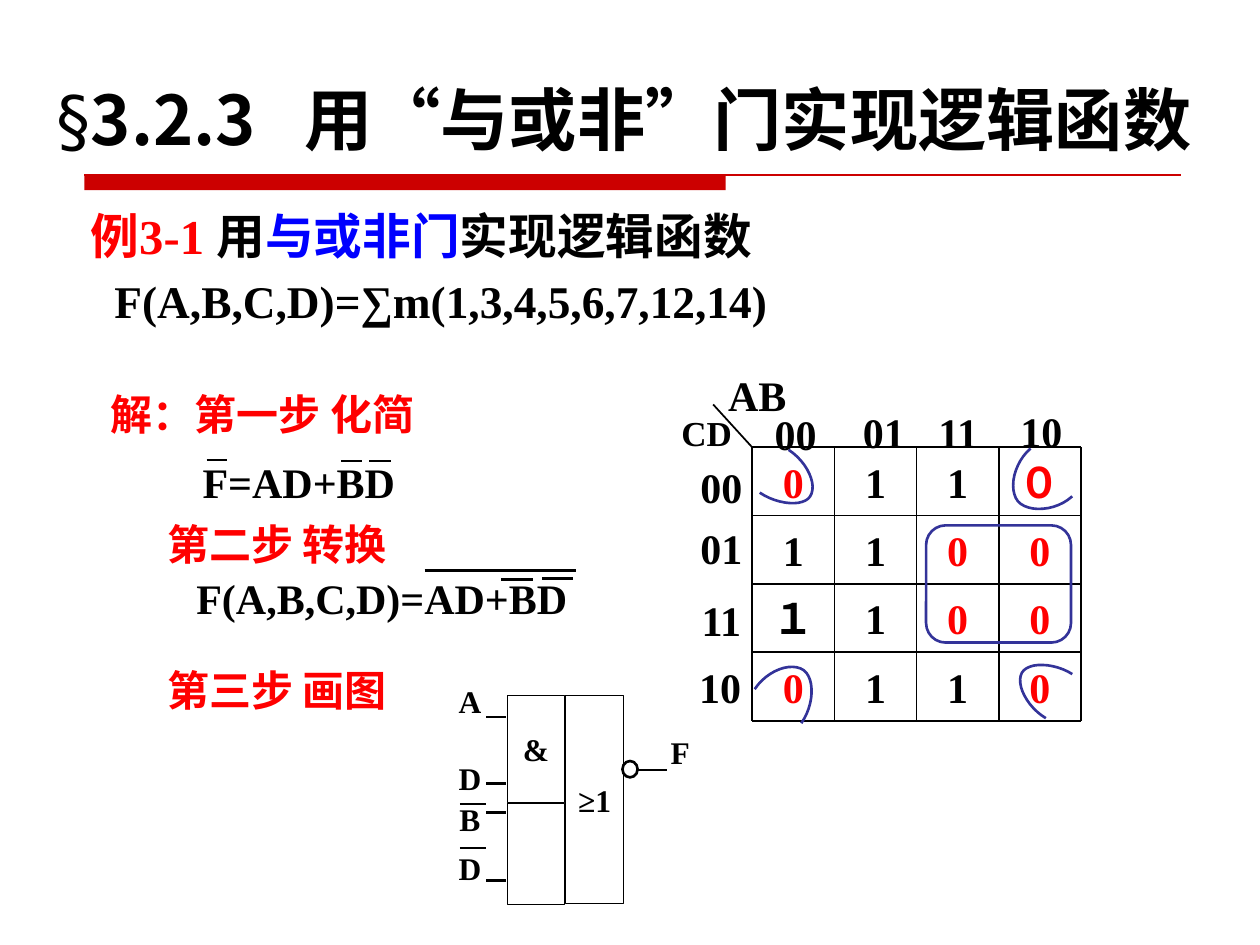
from lxml import etree
from pptx import Presentation
from pptx.dml.color import RGBColor
from pptx.enum.shapes import MSO_CONNECTOR, MSO_SHAPE
from pptx.enum.text import MSO_ANCHOR, PP_ALIGN
from pptx.oxml.ns import qn
from pptx.util import Inches, Pt

LEFT, CENTER = PP_ALIGN.LEFT, PP_ALIGN.CENTER
TOP, MIDDLE, BOTTOM = MSO_ANCHOR.TOP, MSO_ANCHOR.MIDDLE, MSO_ANCHOR.BOTTOM
RECT, OVAL, ROUND = MSO_SHAPE.RECTANGLE, MSO_SHAPE.OVAL, MSO_SHAPE.ROUNDED_RECTANGLE
SERIF, HAN, SYMBOL = "Times New Roman", "Noto Sans CJK SC", "DejaVu Sans"
BLACK, RED, BLUE, CRIMSON, INDIGO = "000000", "FF0000", "0000FF", "CC0000", "333399"

# Content: text, size, font, bold
HEADING = [("§", 39, SYMBOL, False), ("3.2.3", 39, HAN, True), ("　", 27.5, HAN, True),
           ("用“与或非”门实现逻辑函数", 39, HAN, True)]
EXAMPLE = [("例3-1 ", RED), ("用", BLACK), ("与或非门", BLUE), ("实现逻辑函数", BLACK)]
FUNCTION = "F(A,B,C,D)=∑m(1,3,4,5,6,7,12,14)"

# text, left, top, width, colour
STEPS = [("解：第一步 化简", 0.78, 3.11, 3.67, RED),
         ("F=AD+BD", 1.51, 3.65, 1.83, BLACK),
         ("第二步 转换", 1.23, 4.14, 3, RED),
         ("F(A,B,C,D)=AD+BD", 1.46, 4.57, 4.05, BLACK),
         ("第三步 画图", 1.23, 5.3, 3, RED)]
# left, right, height of each negation bar
NEGATIONS = [(1.64, 1.8, 3.65), (2.71, 2.87, 3.66), (2.93, 3.1, 3.66),
             (3.37, 4.57, 4.53), (3.98, 4.23, 4.6), (4.3, 4.55, 4.59),
             (3.65, 3.86, 6.38), (3.65, 3.86, 6.73)]

# Karnaugh map
KMAP = ["011０", "1100", "１100", "0110"]
KMAP_X, KMAP_Y, KMAP_W, KMAP_H = 5.97, 3.55, 2.61, 2.17
AB_CODES = [("00", 6.05, 3.19), ("01", 6.75, 3.18), ("11", 7.35, 3.18), ("10", 8, 3.17)]
CD_CODES = [("00", 5.46, 3.61), ("01", 5.46, 4.1), ("11", 5.47, 4.67), ("10", 5.45, 5.2)]
AXES = [("AB", 5.68, 2.88, 24), ("CD", 5.31, 3.22, 20)]
# Two Bezier curves per corner: start, control, control, joint, control, control, end
CORNER_LOOPS = [
    [(6.36, 5.74), (6.46, 5.6), (6.47, 5.39), (6.38, 5.32), (6.28, 5.25), (6.09, 5.32), (5.99, 5.47)],
    [(8.18, 3.56), (8.05, 3.67), (8, 3.88), (8.08, 3.98), (8.16, 4.07), (8.38, 4.06), (8.51, 3.94)],
    [(8.51, 5.35), (8.37, 5.26), (8.16, 5.25), (8.11, 5.34), (8.06, 5.43), (8.15, 5.61), (8.3, 5.7)],
    [(6.03, 3.91), (6.18, 4.01), (6.38, 4.02), (6.43, 3.94), (6.49, 3.85), (6.41, 3.67), (6.26, 3.57)]]

# AND-OR-NOT gate: text, left, top, width, height
GATE_PARTS = [("≥1", 4.49, 5.52, 0.46, 1.65), ("&", 4.03, 5.52, 0.45, 0.85),
              ("", 4.03, 6.38, 0.45, 0.8)]
GATE_PINS = [(3.86, 4.02, 5.69), (3.86, 4.02, 6.22), (3.86, 4.02, 6.45),
             (3.86, 4.02, 6.99), (5.06, 5.29, 6.11)]
# lines, left, top, height, line spacing, gap before the second line
PIN_NAMES = [(["A", "D"], 3.48, 5.49, 0.87, 0.5, 33.5),
             (["B", "D"], 3.48, 6.38, 0.71, 0.7, 13),
             (["F"], 5.15, 5.83, 0.34, 0.8, 0)]


def rgb(colour):
    return RGBColor.from_string(colour)


def add_run(paragraph, text, size, colour=BLACK, font=SERIF, bold=True):
    run = paragraph.add_run()
    run.text = text
    run.font.size, run.font.bold, run.font.name = Pt(size), bold, font
    run.font.color.rgb = rgb(colour)
    etree.SubElement(run._r.get_or_add_rPr(), qn("a:ea"), typeface=HAN)


def add_text(lines, x, y, w, h, size=24, colour=BLACK, align=LEFT, anchor=TOP, spacing=1.0, gap=0):
    frame = slide.shapes.add_textbox(*map(Inches, (x, y, w, h))).text_frame
    frame.word_wrap, frame.vertical_anchor = True, anchor
    for i, line in enumerate(lines):
        paragraph = frame.paragraphs[0] if i == 0 else frame.add_paragraph()
        paragraph.alignment, paragraph.line_spacing = align, spacing
        if i:
            paragraph.space_before = Pt(gap)
        add_run(paragraph, line, size, colour)


def add_line(x1, y1, x2, y2, colour=BLACK, width=1.5):
    line = slide.shapes.add_connector(MSO_CONNECTOR.STRAIGHT, *map(Inches, (x1, y1, x2, y2)))
    line.line.color.rgb, line.line.width = rgb(colour), Pt(width)
    etree.SubElement(line._element.spPr, qn("a:effectLst"))


def outline(shape, colour, width):
    shape.shadow.inherit = False
    shape.fill.background()
    shape.line.color.rgb, shape.line.width = rgb(colour), Pt(width)


def add_outline(kind, x, y, w, h, colour=BLACK, width=1.5):
    shape = slide.shapes.add_shape(kind, *map(Inches, (x, y, w, h)))
    outline(shape, colour, width)
    return shape


def bezier(p0, p1, p2, p3, steps=12):
    for i in range(steps + 1):
        t = i / steps
        yield tuple(Inches((1 - t) ** 3 * a + 3 * (1 - t) ** 2 * t * b
                           + 3 * (1 - t) * t * t * c + t ** 3 * d)
                    for a, b, c, d in zip(p0, p1, p2, p3))


prs = Presentation()
prs.slide_width, prs.slide_height = Inches(10), Inches(7.5)
slide = prs.slides.add_slide(prs.slide_layouts[5])

# Title and rule
title = slide.shapes.title
title.left, title.top, title.width, title.height = map(Inches, (0.35, 0.34, 9.65, 0.97))
title.text_frame.vertical_anchor = BOTTOM
title.text_frame.paragraphs[0].alignment = LEFT
for text, size, font, bold in HEADING:
    add_run(title.text_frame.paragraphs[0], text, size, font=font, bold=bold)
add_line(0.67, 1.39, 9.37, 1.39, CRIMSON, 0.75)
bar = add_outline(RECT, 0.67, 1.39, 5.09, 0.12)
bar.fill.solid()
bar.fill.fore_color.rgb = rgb(CRIMSON)
bar.line.fill.background()

# Example statement
example = slide.shapes.add_textbox(*map(Inches, (0.62, 1.64, 8.75, 1.17))).text_frame
example.word_wrap = True
statement, function = example.paragraphs[0], example.add_paragraph()
for text, colour in EXAMPLE:
    add_run(statement, text, 27.8, colour)
add_run(function, FUNCTION, 25.9)
statement.line_spacing = function.line_spacing = 0.9
function.space_before = Pt(8)
function._p.get_or_add_pPr().set("marL", str(Inches(0.19)))

# Solution steps
for text, x, y, w, colour in STEPS:
    add_text([text], x, y, w, 0.42, colour=colour, spacing=0.8)
for x1, x2, y in NEGATIONS:
    add_line(x1, y, x2, y)

# Karnaugh map
for text, x, y in AB_CODES + CD_CODES:
    add_text([text], x, y, 0.57, 0.5)
for text, x, y, size in AXES:
    add_text([text], x, y, 0.7, 0.5, size)
add_line(5.66, 3.21, KMAP_X, KMAP_Y, width=1)
cell_w, cell_h = KMAP_W / 4, KMAP_H / 4
for r, values in enumerate(KMAP):
    for c, value in enumerate(values):
        add_text([value], KMAP_X + c * cell_w, KMAP_Y + r * cell_h, cell_w, cell_h,
                 colour=RED if value in "0０" else BLACK, align=CENTER, anchor=MIDDLE)
for i in range(5):
    x, y = KMAP_X + i * cell_w, KMAP_Y + i * cell_h
    add_line(KMAP_X, y, KMAP_X + KMAP_W, y, width=1)
    add_line(x, KMAP_Y, x, KMAP_Y + KMAP_H, width=1)

# Groups of zeros
add_outline(ROUND, 7.35, 4.17, 1.15, 0.93, INDIGO)
for loop in CORNER_LOOPS:
    points = [*bezier(*loop[:4]), *bezier(*loop[3:])]
    builder = slide.shapes.build_freeform(*points[0])
    builder.add_line_segments(points[1:], close=False)
    outline(builder.convert_to_shape(), INDIGO, 1.5)

# Logic gate
for text, x, y, w, h in GATE_PARTS:
    part = add_outline(RECT, x, y, w, h, width=0.75)
    if text:
        label = part.text_frame
        label.margin_left = label.margin_right = 0
        label.word_wrap, label.vertical_anchor = False, MIDDLE
        label.paragraphs[0].alignment = CENTER
        add_run(label.paragraphs[0], text, 18)
add_outline(OVAL, 4.94, 6.04, 0.12, 0.13)
for x1, x2, y in GATE_PINS:
    add_line(x1, y, x2, y)
for names, x, y, h, spacing, gap in PIN_NAMES:
    add_text(names, x, y, 0.5, h, 18, align=CENTER, spacing=spacing, gap=gap)

prs.save("out.pptx")
